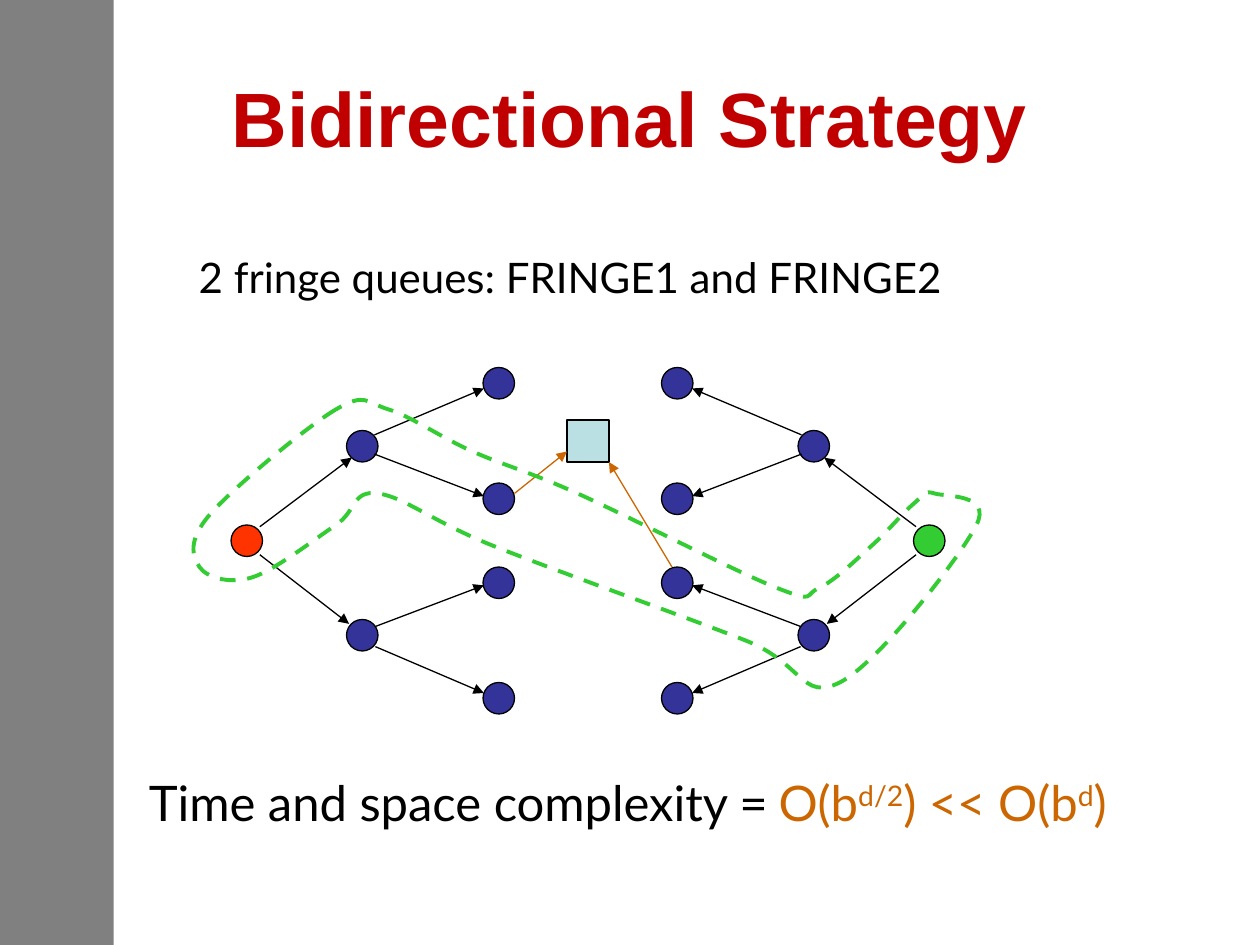
import dataclasses

import lxml.etree
import pptx
import pptx.dml.color
import pptx.enum.dml
import pptx.enum.shapes
import pptx.enum.text
import pptx.oxml.ns
import pptx.util

Pt = pptx.util.Pt
qn = pptx.oxml.ns.qn
SHAPES = pptx.enum.shapes.MSO_SHAPE


@dataclasses.dataclass(frozen=True)
class Theme:
    heading_font: str = "Arial"
    body_font: str = "Lato"
    title_size: int = 44
    note_size: int = 24
    formula_size: int = 28
    title: str = "C00000"
    ink: str = "000000"
    bar: str = "808080"
    node: str = "333399"
    start: str = "FF3300"
    goal: str = "33CC33"
    meeting: str = "BBE0E3"
    accent: str = "CC6600"
    thin: float = 0.75
    thick: float = 2.25


def rgb(value):
    return pptx.dml.color.RGBColor.from_string(value)


def add_span(para, text, *, size, color, font, bold=False, superscript=False):
    span = para.add_run()
    span.text = text
    span.font.size = Pt(size)
    span.font.name = font
    span.font.bold = bold
    span.font.color.rgb = rgb(color)
    if superscript:
        span.font._element.set("baseline", "30000")


class SlideBuilder:
    def __init__(self, page, theme):
        self.page = page
        self.theme = theme

    def title(self, text, left, top, width, height):
        box = self.page.shapes.title
        box.left, box.top, box.width, box.height = map(Pt, (left, top, width, height))
        box.text_frame.vertical_anchor = pptx.enum.text.MSO_ANCHOR.MIDDLE
        para = box.text_frame.paragraphs[0]
        para.alignment = pptx.enum.text.PP_ALIGN.CENTER
        add_span(para, text, size=self.theme.title_size, color=self.theme.title,
                 font=self.theme.heading_font, bold=True)

    def text(self, spans, left, top, width, height):
        """Add one line of text from (text, format) pairs."""
        box = self.page.shapes.add_textbox(*map(Pt, (left, top, width, height)))
        box.text_frame.word_wrap = False
        box.text_frame.auto_size = pptx.enum.text.MSO_AUTO_SIZE.SHAPE_TO_FIT_TEXT
        for text, style in spans:
            add_span(box.text_frame.paragraphs[0], text,
                     font=self.theme.body_font, **style)

    def shape(self, kind, left, top, width, height, fill, outlined=True):
        shape = self.page.shapes.add_shape(kind, *map(Pt, (left, top, width, height)))
        shape.shadow.inherit = False
        shape.fill.solid()
        shape.fill.fore_color.rgb = rgb(fill)
        if outlined:
            shape.line.color.rgb = rgb(self.theme.ink)
            shape.line.width = Pt(self.theme.thin)
        else:
            shape.line.fill.background()

    def arrow(self, start, end, color):
        line = self.page.shapes.add_connector(
            pptx.enum.shapes.MSO_CONNECTOR.STRAIGHT, *map(Pt, (*start, *end)))
        line.line.color.rgb = rgb(color)
        line.line.width = Pt(self.theme.thin)
        lxml.etree.SubElement(line.line._get_or_add_ln(), qn("a:tailEnd"), type="triangle")
        lxml.etree.SubElement(line._element.spPr, qn("a:effectLst"))

    def dashed_curve(self, start, curves, color):
        """Draw a closed outline; each curve is two control points and an end."""
        points = [(Pt(x), Pt(y)) for curve in curves for x, y in curve]
        builder = self.page.shapes.build_freeform(Pt(start[0]), Pt(start[1]))
        builder.add_line_segments(points, close=True)
        shape = builder.convert_to_shape()
        segments = list(shape._element.iter(qn("a:lnTo")))
        for first in range(0, len(points), 3):
            bezier = lxml.etree.Element(qn("a:cubicBezTo"))
            segments[first].addprevious(bezier)
            for segment in segments[first:first + 3]:
                bezier.append(segment[0])
                segment.getparent().remove(segment)
        shape.shadow.inherit = False
        shape.fill.background()
        shape.line.color.rgb = rgb(color)
        shape.line.width = Pt(self.theme.thick)
        shape.line.dash_style = pptx.enum.dml.MSO_LINE.DASH


SLIDE_WIDTH, SLIDE_HEIGHT = 720, 540
NODE = 18
MIRROR = 672  # sum of the x positions of two matching points

# Left tree; the right tree is its mirror image.
ROOT = (132, 300)
NODES = [(198, 246), (198, 354), (276, 210), (276, 276), (276, 324), (276, 390)]
EDGES = [
    ((148.5, 301), (201, 261.5)), ((148.5, 317), (199.5, 356.5)),
    ((214, 248.5), (276.5, 222)), ((214, 259.5), (276.5, 283.5)),
    ((214.5, 358), (276.5, 334.5)), ((214.5, 369.5), (276.5, 396)),
]
MEETING_EDGES = [((294, 282), (324, 258)), ((384, 324), (348, 264))]

FRINGE_START = (192, 234)
FRINGE_CURVES = [
    ((175, 244), (133, 279), (120, 294)),
    ((107, 309), (110, 318), (114, 324)),
    ((118, 330), (131, 334), (144, 330)),
    ((157, 326), (180, 308), (192, 300)),
    ((204, 292), (201, 280), (216, 282)),
    ((231, 284), (247, 298), (282, 312)),
    ((317, 326), (393, 353), (426, 366)),
    ((459, 379), (458, 401), (480, 390)),
    ((502, 379), (549, 318), (558, 300)),
    ((567, 282), (540, 284), (534, 282)),
    ((528, 280), (528, 283), (522, 288)),
    ((516, 293), (507, 304), (498, 312)),
    ((489, 320), (477, 332), (468, 336)),
    ((459, 340), (467, 345), (444, 336)),
    ((421, 327), (359, 295), (330, 282)),
    ((301, 269), (288, 266), (270, 258)),
    ((252, 250), (235, 238), (222, 234)),
    ((209, 230), (209, 224), FRINGE_START),
]


def add_tree(slide, root_color, mirrored):
    theme = slide.theme

    def place(point, width=0):
        x, y = point
        return (MIRROR - x - width, y) if mirrored else (x, y)

    for node in NODES:
        slide.shape(SHAPES.OVAL, *place(node, NODE), NODE, NODE, theme.node)
    for start, end in EDGES:
        slide.arrow(place(start), place(end), theme.ink)
    slide.shape(SHAPES.OVAL, *place(ROOT, NODE), NODE, NODE, root_color)


def main():
    theme = Theme()
    deck = pptx.Presentation()
    deck.slide_width, deck.slide_height = Pt(SLIDE_WIDTH), Pt(SLIDE_HEIGHT)
    slide = SlideBuilder(deck.slides.add_slide(deck.slide_layouts[5]), theme)

    slide.shape(SHAPES.RECTANGLE, 0, 0, 65, SLIDE_HEIGHT, theme.bar, outlined=False)
    slide.title("Bidirectional Strategy", 36, 21.6, 648, 90)
    add_tree(slide, theme.goal, mirrored=True)
    add_tree(slide, theme.start, mirrored=False)

    note = {"size": theme.note_size, "color": theme.ink}
    slide.text([("2 fringe queues: FRINGE1 and FRINGE2", note)], 106.5, 140.4, 440, 36)

    slide.shape(SHAPES.RECTANGLE, 324, 240, 24, 24, theme.meeting)
    for start, end in MEETING_EDGES:
        slide.arrow(start, end, theme.accent)

    label = {"size": theme.formula_size, "color": theme.ink}
    formula = {"size": theme.formula_size, "color": theme.accent}
    exponent = {**formula, "superscript": True}
    slide.text([
        ("Time and space complexity =", label), (" ", note),
        ("O(b", formula), ("d/2", exponent), (") << O(b", formula),
        ("d", exponent), (")", formula),
    ], 78, 438, 605.5, 41)

    slide.dashed_curve(FRINGE_START, FRINGE_CURVES, theme.goal)
    deck.save("out.pptx")


if __name__ == "__main__":
    main()
